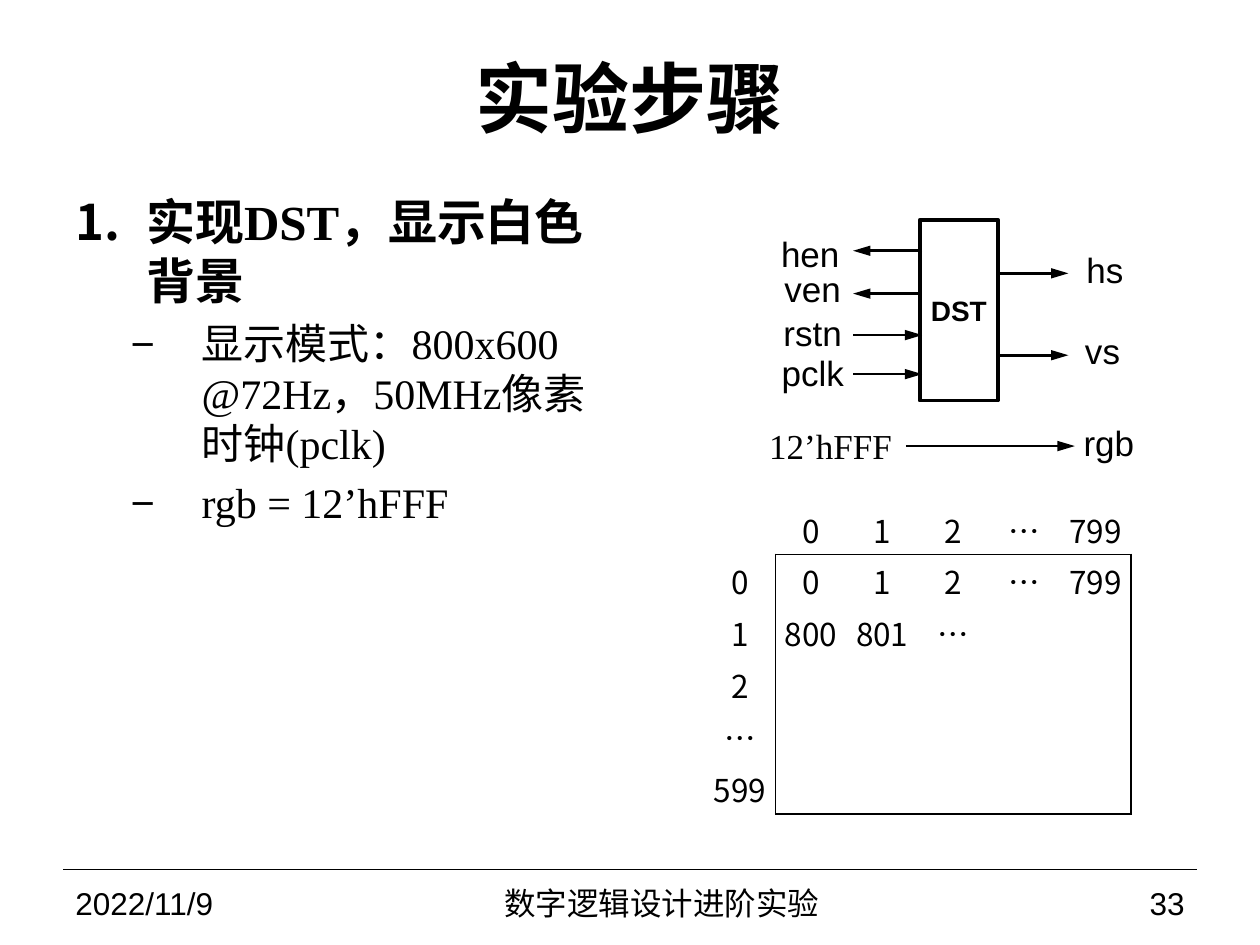
"""Build the lab-steps slide with its DST block diagram and pixel address table."""
from lxml.etree import SubElement
from pptx import Presentation
from pptx.dml.color import RGBColor
from pptx.enum.shapes import MSO_CONNECTOR, MSO_SHAPE
from pptx.enum.text import MSO_ANCHOR, MSO_AUTO_SIZE, PP_ALIGN
from pptx.oxml.ns import qn
from pptx.util import Pt

THEME = {
    "ink": RGBColor(0, 0, 0), "paper": RGBColor(255, 255, 255),
    "serif": "Times New Roman", "sans": "Arial", "cjk": "Noto Sans CJK SC",
    "title": 44, "step": 28, "detail": 24, "label": 20, "small": 18, "block": 16,
}
LEFT, CENTER, RIGHT = PP_ALIGN.LEFT, PP_ALIGN.CENTER, PP_ALIGN.RIGHT
NO_INSETS = dict.fromkeys(("margin_left", "margin_top", "margin_right", "margin_bottom"), 0)
CELL_INSETS = {**dict.fromkeys(NO_INSETS, Pt(0.72)), "margin_bottom": 0}

TITLE = "实验步骤"
STEPS = [
    (0, "实现DST，显示白色背景"),
    (1, "显示模式：800x600 @72Hz，50MHz像素时钟(pclk)"),
    (1, "rgb = 12’hFFF"),
]
LEVELS = [
    {"size": "step", "bold": True, "pitch": 33.6, "margin": 40.3, "bullet": ("a:buAutoNum", {"type": "arabicPeriod"})},
    {"size": "detail", "bold": False, "pitch": 28.7, "margin": 72, "bullet": ("a:buChar", {"char": "−"})},
]
HANGING = 40.3
FOOTERS = [
    ("2022/11/9", 36, 168, LEFT),
    ("数字逻辑设计进阶实验", 204, 348, CENTER),
    ("33", 558, 126, RIGHT),
]
BLOCK = ("DST", 525.6, 125.6, 44.6, 103.3)
SIGNALS = [
    ("hen", 463, 132.5, 38, "sans"),
    ("ven", 464.4, 152.6, 38, "sans"),
    ("rstn", 464.4, 177.8, 38, "sans"),
    ("pclk", 464.4, 200.9, 38, "sans"),
    ("hs", 631.4, 141.8, 38, "sans"),
    ("vs", 630, 187.9, 38, "sans"),
    ("12’hFFF", 474.6, 242.6, 74, "serif"),
    ("rgb", 633.6, 240.5, 38, "sans"),
]
ARROWS = [
    (527, 487.5, 143.3), (525.6, 487.5, 167.8),
    (487.5, 527, 191.5), (487.5, 527, 213.8),
    (571.7, 610.5, 156.2), (571.7, 610.5, 203),
    (517.7, 614.2, 254.9),
]
PIXELS = [
    ["", "0", "1", "2", "…", "799"],
    ["0", "0", "1", "2", "…", "799"],
    ["1", "800", "801", "…", "", ""],
    ["2", "", "", "", "", ""],
    ["…", "", "", "", "", ""],
    ["599", "", "", "", "", ""],
]
NO_TABLE_STYLE = "{2D5ABB26-0587-4C30-8999-92F81FD0307C}"


def assign(target, values):
    for name, value in values.items():
        setattr(target, name, value)


def write(paragraph, text, size, font, bold=False, align=LEFT):
    paragraph.alignment = align
    run = paragraph.add_run()
    run.text = text
    assign(run.font, {"size": Pt(THEME[size]), "name": THEME[font], "bold": bold})
    run.font.color.rgb = THEME["ink"]
    SubElement(run.font._element, qn("a:ea"), typeface=THEME["cjk"])


def place(shape, left, top, width, height):
    assign(shape, {"left": Pt(left), "top": Pt(top), "width": Pt(width), "height": Pt(height)})


def add_label(slide, text, box, size, font, align, frame_format):
    frame = slide.shapes.add_textbox(*map(Pt, box)).text_frame
    assign(frame, {"vertical_anchor": MSO_ANCHOR.MIDDLE, **frame_format})
    write(frame.paragraphs[0], text, size, font, align=align)


def add_line(slide, start, end, y, width, arrow=False):
    connector = slide.shapes.add_connector(MSO_CONNECTOR.STRAIGHT, Pt(start), Pt(y), Pt(end), Pt(y))
    connector.line.width = Pt(width)
    connector.line.color.rgb = THEME["ink"]
    if arrow:
        SubElement(connector.line._get_or_add_ln(), qn("a:tailEnd"), type="triangle", w="med", len="lg")
    SubElement(connector._element.spPr, qn("a:effectLst"))


def fill_placeholders(slide):
    title, body = slide.placeholders
    place(title, 36, 21.6, 648, 67)
    place(body, 36, 105.8, 316, 388)
    assign(title.text_frame, {"vertical_anchor": MSO_ANCHOR.MIDDLE, "auto_size": MSO_AUTO_SIZE.NONE})
    write(title.text_frame.paragraphs[0], TITLE, "title", "serif", True, CENTER)
    frame = body.text_frame
    frame.auto_size = MSO_AUTO_SIZE.NONE
    for index, (level, text) in enumerate(STEPS):
        style = LEVELS[level]
        paragraph = frame.add_paragraph() if index else frame.paragraphs[0]
        write(paragraph, text, style["size"], "serif", style["bold"])
        assign(paragraph, {"level": level, "line_spacing": Pt(style["pitch"]),
                           "space_before": Pt(THEME[style["size"]] * 0.2)})
        properties = paragraph._p.get_or_add_pPr()
        properties.set("marL", str(Pt(style["margin"])))
        properties.set("indent", str(-Pt(HANGING)))
        SubElement(properties, qn("a:buFont"), typeface=THEME["cjk"])
        tag, attributes = style["bullet"]
        SubElement(properties, qn(tag), attributes)


def add_footer(slide):
    add_line(slide, 36, 684, 496.8, 0.75)
    for text, left, width, align in FOOTERS:
        add_label(slide, text, (left, 502.6, width, 26.6), "small", "sans", align, {"word_wrap": True})


def add_diagram(slide):
    name, *box = BLOCK
    block = slide.shapes.add_shape(MSO_SHAPE.RECTANGLE, *map(Pt, box))
    block.shadow.inherit = False
    block.fill.background()
    block.line.width = Pt(2.25)
    block.line.color.rgb = THEME["ink"]
    unwrapped = {**NO_INSETS, "word_wrap": False}
    assign(block.text_frame, {"vertical_anchor": MSO_ANCHOR.MIDDLE, **unwrapped})
    write(block.text_frame.paragraphs[0], name, "block", "sans", True, CENTER)
    for start, end, y in ARROWS:
        add_line(slide, start, end, y, 1.5, arrow=True)
    for text, middle, top, width, font in SIGNALS:
        add_label(slide, text, (middle - width / 2, top, width, 24.5), "label", font, CENTER, unwrapped)


def add_border(cell, side, drawn):
    line = SubElement(cell._tc.get_or_add_tcPr(), qn(f"a:ln{side}"), w=str(Pt(1)))
    if drawn:
        fill = SubElement(line, qn("a:solidFill"))
        SubElement(fill, qn("a:srgbClr"), val=str(THEME["ink"]))
    else:
        SubElement(line, qn("a:noFill"))


def add_pixel_table(slide):
    count, last = len(PIXELS), len(PIXELS) - 1
    frame = slide.shapes.add_table(count, count, Pt(402.5), Pt(288), Pt(244), Pt(178))
    table = frame.table
    assign(table, {"first_row": False, "horz_banding": False})
    table._tbl.tblPr.find(qn("a:tableStyleId")).text = NO_TABLE_STYLE
    for index in range(count):
        table.columns[index].width = Pt(40.67)
        table.rows[index].height = Pt(29.7 if index else 28.8)
    for row, values in enumerate(PIXELS):
        for column, text in enumerate(values):
            cell = table.cell(row, column)
            assign(cell, {"vertical_anchor": MSO_ANCHOR.MIDDLE, **CELL_INSETS})
            edges = {
                "L": row > 0 and column == 1,
                "R": row > 0 and column in (0, last),
                "T": row == 1 and column > 0,
                "B": row in (0, last) and column > 0,
            }
            for side, drawn in edges.items():
                add_border(cell, side, drawn)
            if row and column:
                cell.fill.solid()
                cell.fill.fore_color.rgb = THEME["paper"]
            else:
                cell.fill.background()
            if text:
                write(cell.text_frame.paragraphs[0], text, "small", "cjk", align=CENTER)


def main():
    presentation = Presentation()
    assign(presentation, {"slide_width": Pt(720), "slide_height": Pt(540)})
    slide = presentation.slides.add_slide(presentation.slide_layouts[1])
    fill_placeholders(slide)
    add_footer(slide)
    add_pixel_table(slide)
    add_diagram(slide)
    presentation.save("out.pptx")


if __name__ == "__main__":
    main()
